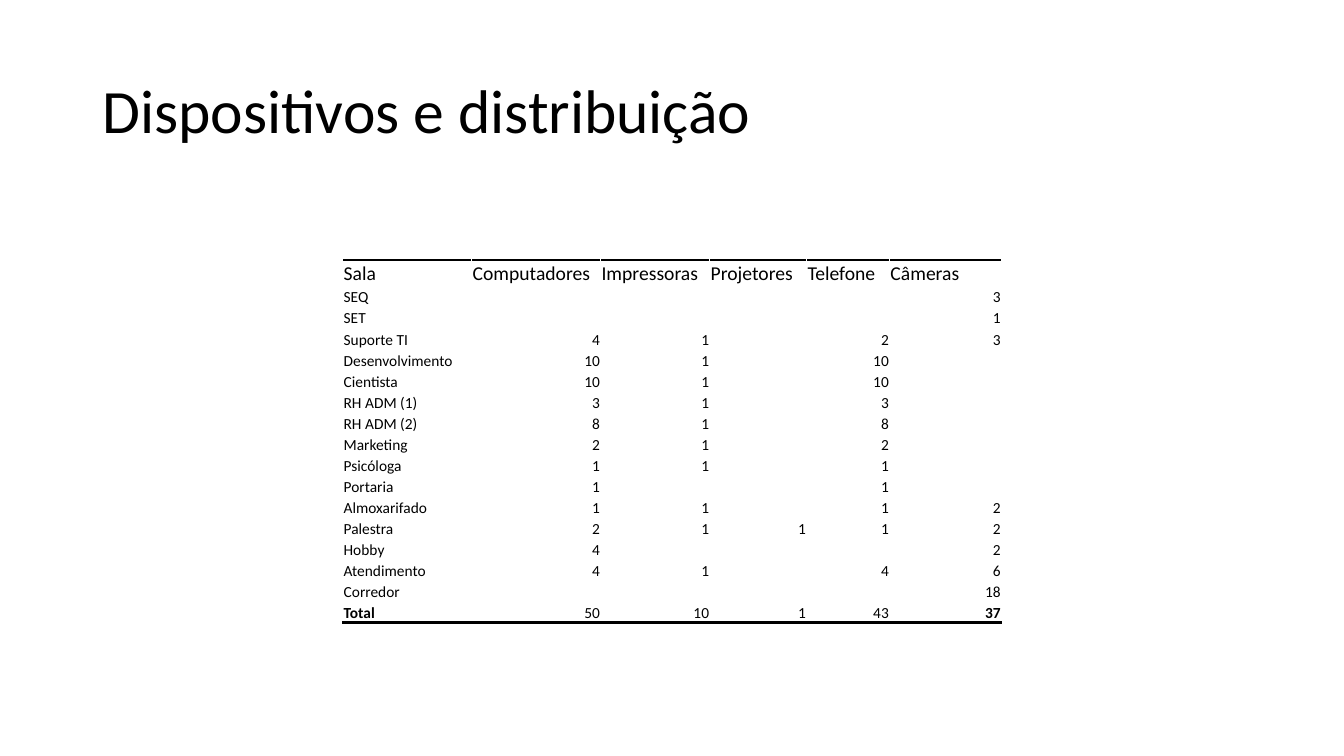
"""Build the slide with the devices assigned to each room."""
from lxml import etree
from pptx import Presentation
from pptx.dml.color import RGBColor
from pptx.enum.text import MSO_ANCHOR, PP_ALIGN
from pptx.oxml.ns import qn
from pptx.util import Cm, Pt

LEFT, RIGHT = PP_ALIGN.LEFT, PP_ALIGN.RIGHT
MIDDLE, BOTTOM = MSO_ANCHOR.MIDDLE, MSO_ANCHOR.BOTTOM
BLACK, WHITE = "000000", "FFFFFF"
FONT = "Calibri"
TITLE_ONLY = 5

COLUMN_WIDTHS = (3.25, 3.25, 2.75, 2.44, 2.09, 2.82)
HEADER_HEIGHT, ROOM_HEIGHT = 0.66, 0.53

DEVICES = (
    ("Sala", "Computadores", "Impressoras", "Projetores", "Telefone", "Câmeras"),
    ("SEQ", "", "", "", "", 3),
    ("SET", "", "", "", "", 1),
    ("Suporte TI", 4, 1, "", 2, 3),
    ("Desenvolvimento", 10, 1, "", 10, ""),
    ("Cientista", 10, 1, "", 10, ""),
    ("RH ADM (1)", 3, 1, "", 3, ""),
    ("RH ADM (2)", 8, 1, "", 8, ""),
    ("Marketing", 2, 1, "", 2, ""),
    ("Psicóloga", 1, 1, "", 1, ""),
    ("Portaria", 1, "", "", 1, ""),
    ("Almoxarifado", 1, 1, "", 1, 2),
    ("Palestra", 2, 1, 1, 1, 2),
    ("Hobby", 4, "", "", "", 2),
    ("Atendimento", 4, 1, "", 4, 6),
    ("Corredor", "", "", "", "", 18),
    ("Total", 50, 10, 1, 43, 37),
)


def color(hex_code):
    return RGBColor.from_string(hex_code)


def style_paragraph(paragraph, size, align=LEFT, bold=False):
    paragraph.alignment = align
    font = paragraph.font
    font.name, font.size, font.bold = FONT, Pt(size), bold
    font.color.rgb = color(BLACK)


def add_title(slide, wording):
    title = slide.shapes.title
    title.left, title.top = Cm(2.33), Cm(1.01)
    title.width, title.height = Cm(29.21), Cm(3.68)
    title.text_frame.text = wording
    title.text_frame.vertical_anchor = MIDDLE
    heading = title.text_frame.paragraphs[0]
    heading.line_spacing = 0.9
    style_paragraph(heading, 44)


def add_rule(cell, side):
    rule = etree.Element(qn(f"a:{side}"), w=str(Pt(2)))
    fill = etree.SubElement(rule, qn("a:solidFill"))
    etree.SubElement(fill, qn("a:srgbClr"), val=BLACK)
    cell._tc.get_or_add_tcPr().insert(0, rule)


def fill_cell(cell, value, size, align, bold):
    cell.fill.solid()
    cell.fill.fore_color.rgb = color(WHITE)
    cell.vertical_anchor = BOTTOM
    cell.margin_left = cell.margin_right = cell.margin_top = Cm(0.02)
    cell.margin_bottom = 0
    cell.text = str(value)
    style_paragraph(cell.text_frame.paragraphs[0], size, align, bold)


def add_device_table(slide):
    last_row, last_column = len(DEVICES) - 1, len(COLUMN_WIDTHS) - 1
    height = HEADER_HEIGHT + last_row * ROOM_HEIGHT
    table = slide.shapes.add_table(
        len(DEVICES), len(COLUMN_WIDTHS),
        Cm(8.64), Cm(6.55), Cm(sum(COLUMN_WIDTHS)), Cm(height)).table
    table.first_row = table.horz_banding = False
    for column, width in zip(table.columns, COLUMN_WIDTHS):
        column.width = Cm(width)
    for r, room in enumerate(DEVICES):
        table.rows[r].height = Cm(ROOM_HEIGHT if r else HEADER_HEIGHT)
        for c, value in enumerate(room):
            cell = table.cell(r, c)
            align = RIGHT if r and c else LEFT
            bold = r == last_row and c in (0, last_column)
            fill_cell(cell, value, 11 if r else 14, align, bold)
            if r == 0:
                add_rule(cell, "lnT")
            elif r == last_row:
                add_rule(cell, "lnB")


def main():
    presentation = Presentation()
    presentation.slide_width, presentation.slide_height = Cm(33.87), Cm(19.05)
    slide = presentation.slides.add_slide(presentation.slide_layouts[TITLE_ONLY])
    add_title(slide, "Dispositivos e distribuição")
    add_device_table(slide)
    presentation.save("out.pptx")


if __name__ == "__main__":
    main()
